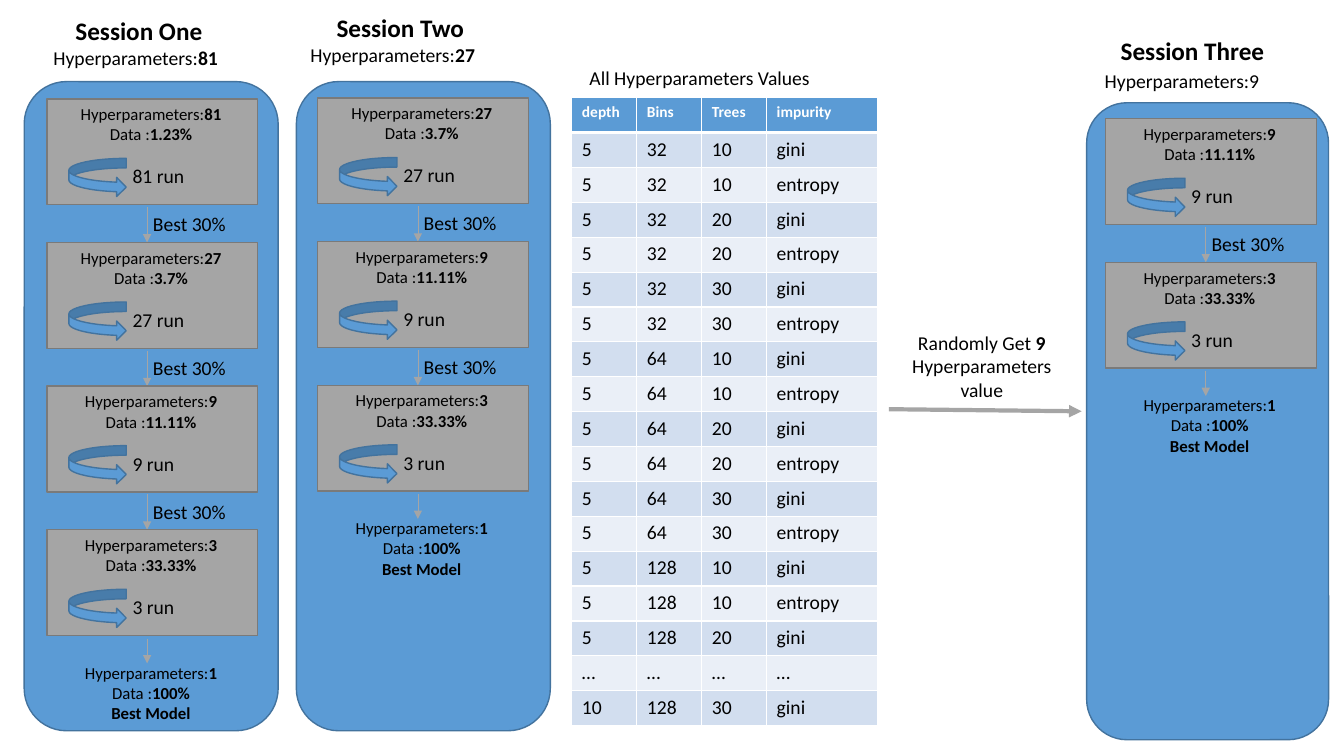
from itertools import product

from lxml import etree
from pptx import Presentation
from pptx.dml.color import RGBColor
from pptx.enum import shapes, text
from pptx.oxml.ns import qn
from pptx.util import Pt

BLUE = RGBColor(0x5B, 0x9B, 0xD5)
NAVY = RGBColor(0x43, 0x73, 0x9E)
GRAY = RGBColor(0xA5, 0xA5, 0xA5)
DARK = RGBColor(0x7A, 0x7A, 0x7A)
PALE = RGBColor(0xEA, 0xEF, 0xF7)
TINT = RGBColor(0xD2, 0xDE, 0xEF)
WHITE = RGBColor(0xFF, 0xFF, 0xFF)
BLACK = RGBColor(0, 0, 0)
FONT = "Calibri"

PARAM = "Hyperparameters:"
DATA = {81: "1.23%", 27: "3.7%", 9: "11.11%", 3: "33.33%", 1: "100%"}
SESSIONS = [
    dict(name="Session One", head=(46.8, 7.2), count=(PARAM, "81"), sub=(31, 29.5),
         panel=(17.3, 58.3, 181.4, 463.7), box=(33.6, 70.6), runs=[81, 27, 9, 3]),
    dict(name="Session Two", head=(233.3, 5), count=(PARAM, "27"), sub=(214.6, 27.4),
         panel=(211.7, 58.3, 181.4, 463.7), box=(227, 70), runs=[27, 9, 3]),
    dict(name="Session Three", head=(793.4, 21.6), count=(PARAM + "9", ""), sub=(782, 46),
         panel=(776.2, 73.4, 172.8, 455), box=(789.8, 84.8), runs=[9, 3]),
]
HEADS = ["depth", "Bins", "Trees", "impurity"]
COMBOS = product(["32", "64", "128"], ["10", "20", "30"], ["gini", "entropy"])
ROWS = [HEADS] + [["5", *combo] for combo in COMBOS][:15]
ROWS += [["…"] * 4, ["10", "128", "30", "gini"]]
WIDTHS = [46.4, 46.4, 46.4, 79.2]
ROW_H = 24.92
PITCH = 102.6
BOX_W, BOX_H = 150.5, 75.6
CENTER = text.PP_ALIGN.CENTER
KIND = shapes.MSO_SHAPE

deck = Presentation()
deck.slide_width, deck.slide_height = Pt(960), Pt(540)
slide = deck.slides.add_slide(deck.slide_layouts[6])


def style(run, size, bold, color=BLACK):
    font = run.font
    font.name, font.size, font.bold = FONT, Pt(size), bold
    font.color.rgb = color


def shape(kind, left, top, width, height, fill, edge):
    item = slide.shapes.add_shape(kind, Pt(left), Pt(top), Pt(width), Pt(height))
    item.shadow.inherit = False
    item.fill.solid()
    item.fill.fore_color.rgb = fill
    item.line.color.rgb = edge
    item.line.width = Pt(1)


def label(left, top, width, height, lines, size, align=None):
    frame = slide.shapes.add_textbox(Pt(left), Pt(top), Pt(width), Pt(height)).text_frame
    frame.word_wrap = True
    for i, (plain, strong) in enumerate(lines):
        para = frame.add_paragraph() if i else frame.paragraphs[0]
        para.alignment = align
        for words, bold in ((plain, False), (strong, True)):
            if words:
                run = para.add_run()
                run.text = words
                style(run, size, bold)


def arrow(x1, y1, x2, y2, width):
    link = slide.shapes.add_connector(shapes.MSO_CONNECTOR.STRAIGHT,
                                      Pt(x1), Pt(y1), Pt(x2), Pt(y2))
    link.line.color.rgb = GRAY
    link.line.width = Pt(width)
    etree.SubElement(link.line._get_or_add_ln(), qn("a:tailEnd"), type="triangle")
    etree.SubElement(link._element.spPr, qn("a:effectLst"))


def facts(count):
    return [(PARAM, str(count)), ("Data :", DATA[count])]


def stage(left, top, count):
    shape(KIND.RECTANGLE, left, top, BOX_W, BOX_H, GRAY, DARK)
    label(left - 1, top, BOX_W, 36, facts(count), 12, CENTER)
    shape(KIND.CURVED_RIGHT_ARROW, left + 15.6, top + 42.5, 41, 27.4, BLUE, NAVY)
    label(left + 54, top + 43.2, 56, 24.5, [(f"{count} run", "")], 14)


def session(name, head, count, sub, panel, box, runs):
    shape(KIND.ROUNDED_RECTANGLE, *panel, BLUE, NAVY)
    label(*head, 132, 28.8, [("", name)], 18)
    label(*sub, 154, 24.5, [count], 14)
    left, first = box
    mid = left + 71.5
    for i, run in enumerate(runs):
        top = first + i * PITCH
        stage(left, top, run)
        if i < len(runs) - 1:
            arrow(mid, top + 77.4, mid, top + PITCH, 0.5)
            label(mid - 3, top + 77.4, 73, 24.5, [("Best 30%", "")], 14)
    arrow(mid, top + 77.7, mid, top + 95.5, 0.5)
    label(left - 1, top + 91.2, BOX_W, 51, facts(1) + [("", "Best Model")], 12, CENTER)


def border(cell, side, width):
    line = etree.SubElement(cell._tc.get_or_add_tcPr(), qn("a:" + side), w=str(Pt(width)))
    fill = etree.SubElement(line, qn("a:solidFill"))
    etree.SubElement(fill, qn("a:srgbClr"), val=str(WHITE))


def grid(left, top):
    table = slide.shapes.add_table(len(ROWS), len(HEADS), Pt(left), Pt(top),
                                   Pt(sum(WIDTHS)), Pt(ROW_H * len(ROWS))).table
    for col, width in zip(table.columns, WIDTHS):
        col.width = Pt(width)
    for r, row in enumerate(ROWS):
        table.rows[r].height = Pt(ROW_H)
        for c, words in enumerate(row):
            cell = table.cell(r, c)
            cell.text_frame.text = words
            run = cell.text_frame.paragraphs[0].runs[0]
            style(run, 14 if r else 11, r == 0, BLACK if r else WHITE)
            for side in ("lnL", "lnR", "lnT", "lnB"):
                thick = (r, side) in ((0, "lnB"), (1, "lnT"))
                border(cell, side, 3 if thick else 1)
            cell.fill.solid()
            cell.fill.fore_color.rgb = (TINT if r % 2 else PALE) if r else BLUE


for part in SESSIONS:
    session(**part)
label(414, 43.2, 203.8, 24.5, [("All Hyperparameters Values", "")], 14)
grid(408.5, 69.8)
label(632.2, 232.6, 138.2, 58.3,
      [("Randomly Get ", "9"), ("Hyperparameters", ""), ("value", "")], 14, CENTER)
arrow(635, 292.3, 772.6, 293.8, 3)
deck.save("out.pptx")
